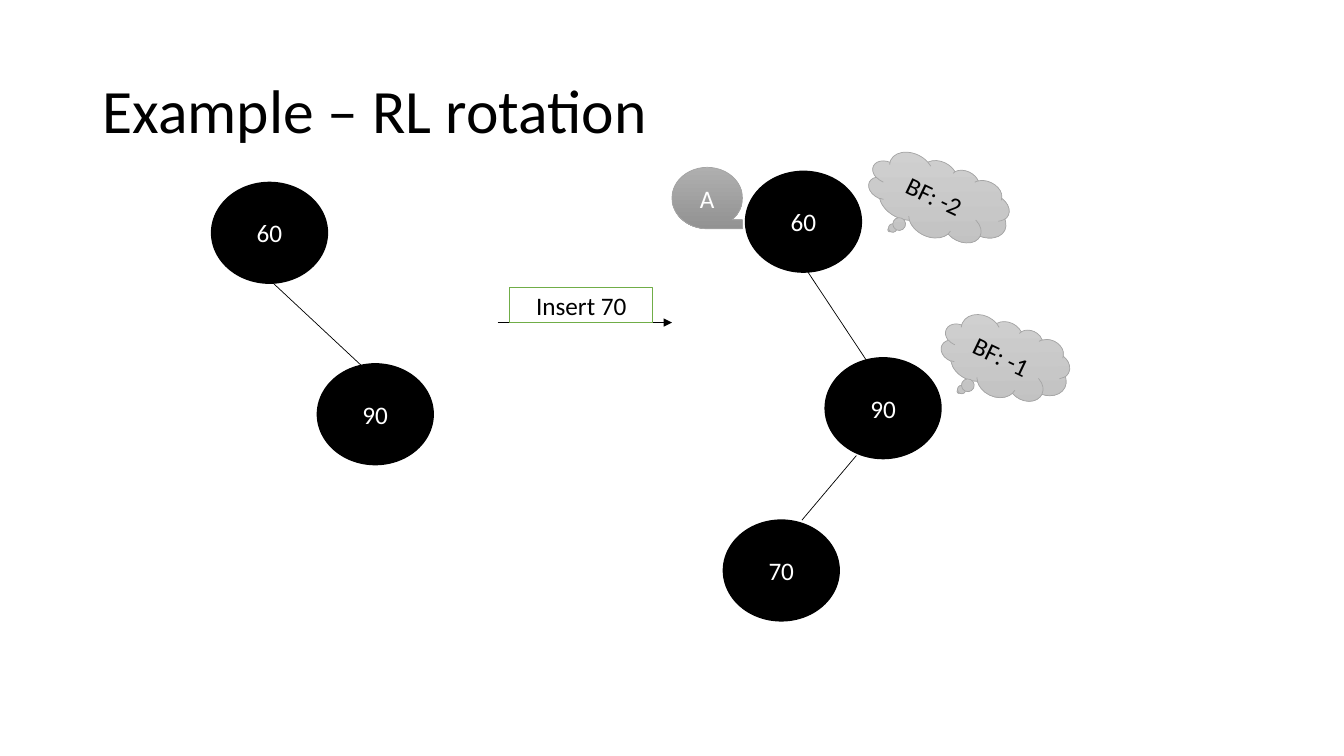
from dataclasses import dataclass
from typing import Optional

from lxml import etree
from pptx import Presentation
from pptx.dml.color import RGBColor
from pptx.enum.shapes import MSO_CONNECTOR, MSO_SHAPE
from pptx.enum.text import MSO_ANCHOR, PP_ALIGN
from pptx.oxml.ns import qn
from pptx.util import Inches, Pt

OVAL = MSO_SHAPE.OVAL
BOX = MSO_SHAPE.RECTANGLE
CLOUD = MSO_SHAPE.CLOUD_CALLOUT
TAPE = MSO_SHAPE.FLOWCHART_SEQUENTIAL_ACCESS_STORAGE
STRAIGHT = MSO_CONNECTOR.STRAIGHT
MIDDLE = MSO_ANCHOR.MIDDLE
CENTER = PP_ALIGN.CENTER

# The slide is a grid of 133.4 columns by 75 rows of square cells
COLUMNS, ROWS = 133.4, 75
CELL = Inches(0.1)
FONT = "Calibri"
BLACK, WHITE, GREEN, GRAY = "000000", "FFFFFF", "70AD47", "A5A5A5"
NODE_WIDTH, NODE_HEIGHT = 11.5, 10


@dataclass(frozen=True)
class Style:
    geometry: int
    fills: tuple[str, ...]
    outline: str
    outline_pt: float
    text_color: str
    gradient_angle: float = 0
    rotation: float = 0
    adjustments: tuple[float, ...] = ()


@dataclass(frozen=True)
class Part:
    text: str
    column: float
    row: float
    columns: float
    rows: float
    style: Style


@dataclass(frozen=True)
class Link:
    start: tuple[float, float]
    end: tuple[float, float]
    head: Optional[str] = None


NODE = Style(OVAL, (BLACK,), BLACK, 1, WHITE)
STEP = Style(BOX, (WHITE,), GREEN, 1, BLACK)
BALANCE = Style(CLOUD, ("D2D2D2", "C0C0C0"), GRAY, 0.5, BLACK, 64, 25.6, (-0.21, 0.63))
MARKER = Style(TAPE, ("AFAFAF", "929292"), GRAY, 0.5, WHITE, 90)


def node(key: str, column: float, row: float) -> Part:
    return Part(key, column, row, NODE_WIDTH, NODE_HEIGHT, NODE)


LINKS = [
    Link((26.8, 27.8), (35.8, 36.2)),
    Link((49.4, 32), (66.7, 32), "triangle"),
    Link((80.2, 27), (86.3, 36.2)),
    Link((85, 45.2), (79.6, 51.6)),
]
PARTS = [
    # Tree before the insertion
    node("60", 21, 18.1),
    node("90", 31.5, 36.1),
    Part("Insert 70", 50.6, 28.5, 14.2, 3.5, STEP),
    # Tree after the insertion
    node("60", 74, 17),
    node("90", 81.9, 35.5),
    node("70", 71.8, 51.6),
    Part("BF: -2", 85.9, 16, 14.5, 7.6, BALANCE),
    Part("BF: -1", 93.2, 31.9, 13.1, 7.6, BALANCE),
    Part("A", 66.7, 16.6, 7, 6.1, MARKER),
]


def cells(count: float) -> int:
    return round(count * CELL)


def color(value: str) -> RGBColor:
    return RGBColor.from_string(value)


def add_run(paragraph, text: str, size: float, text_color: str) -> None:
    run = paragraph.add_run()
    run.text = text
    run.font.name = FONT
    run.font.size = Pt(size)
    run.font.color.rgb = color(text_color)


def add_title(slide, text: str) -> None:
    title = slide.shapes.add_textbox(cells(9.2), cells(4), cells(115), cells(14.5))
    frame = title.text_frame
    frame.word_wrap = True
    frame.vertical_anchor = MIDDLE
    frame.paragraphs[0].line_spacing = 0.9
    add_run(frame.paragraphs[0], text, 44, BLACK)


def add_link(slide, link: Link) -> None:
    points = [cells(value) for value in link.start + link.end]
    connector = slide.shapes.add_connector(STRAIGHT, *points)
    connector.line.color.rgb = color(BLACK)
    connector.line.width = Pt(0.5)
    if link.head:
        outline = connector.line._get_or_add_ln()
        etree.SubElement(outline, qn("a:tailEnd"), type=link.head)
    etree.SubElement(connector._element.spPr, qn("a:effectLst"))


def add_part(slide, part: Part) -> None:
    style = part.style
    shape = slide.shapes.add_shape(
        style.geometry, cells(part.column), cells(part.row),
        cells(part.columns), cells(part.rows))
    shape.shadow.inherit = False
    shape.rotation = style.rotation
    for index, value in enumerate(style.adjustments):
        shape.adjustments[index] = value

    # Fill and outline
    if len(style.fills) == 1:
        shape.fill.solid()
        shape.fill.fore_color.rgb = color(style.fills[0])
    else:
        shape.fill.gradient()
        shape.fill.gradient_angle = 360 - style.gradient_angle
        for stop, value in zip(shape.fill.gradient_stops, style.fills):
            stop.color.rgb = color(value)
    shape.line.color.rgb = color(style.outline)
    shape.line.width = Pt(style.outline_pt)

    # Label
    shape.text_frame.vertical_anchor = MIDDLE
    paragraph = shape.text_frame.paragraphs[0]
    paragraph.alignment = CENTER
    add_run(paragraph, part.text, 18, style.text_color)


def main() -> None:
    deck = Presentation()
    deck.slide_width = cells(COLUMNS)
    deck.slide_height = cells(ROWS)
    slide = deck.slides.add_slide(deck.slide_layouts[6])
    add_title(slide, "Example – RL rotation")
    for link in LINKS:
        add_link(slide, link)
    for part in PARTS:
        add_part(slide, part)
    deck.save("out.pptx")


if __name__ == "__main__":
    main()
